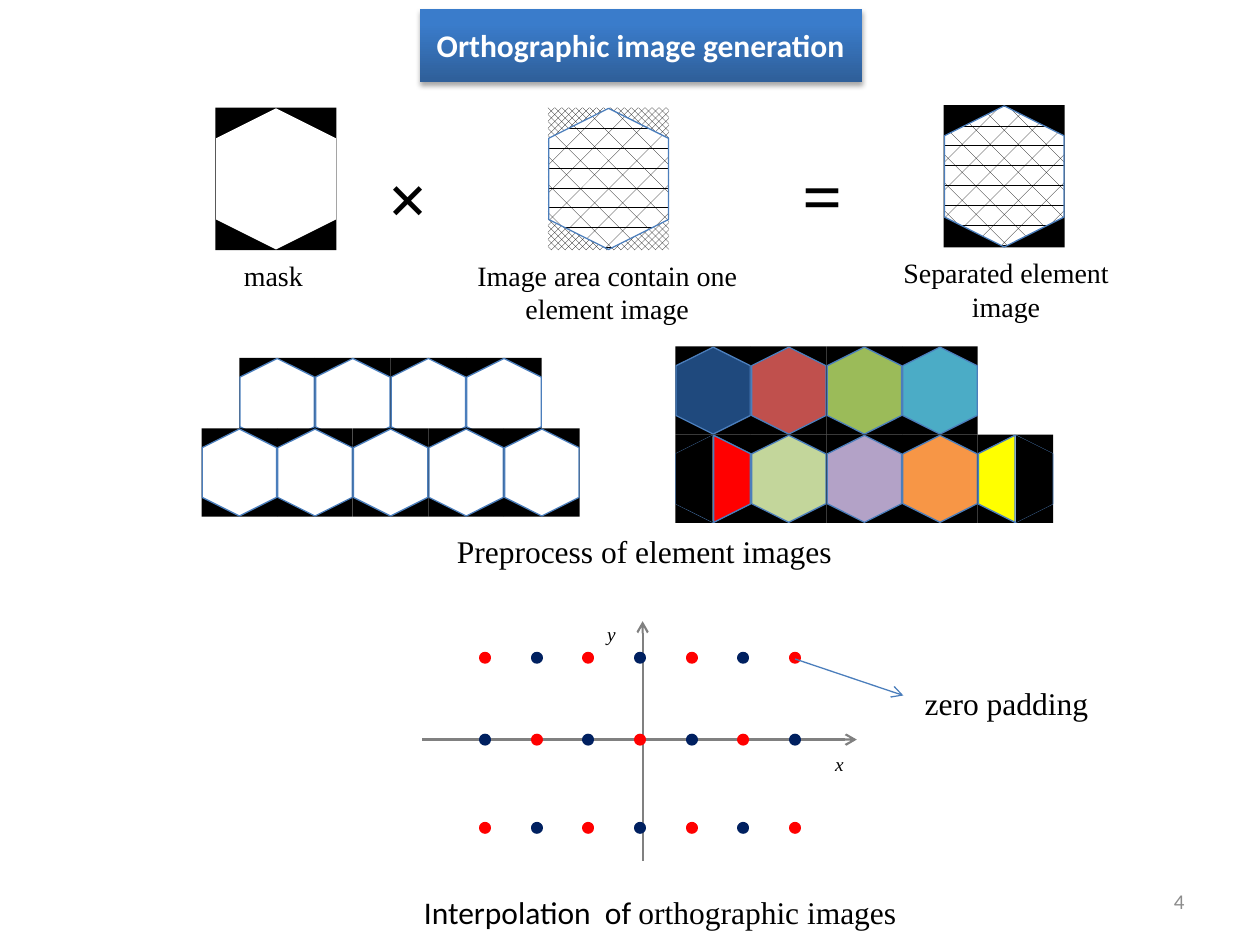
from lxml.etree import SubElement
from pptx import Presentation
from pptx.dml.color import RGBColor
from pptx.enum.dml import MSO_LINE, MSO_PATTERN
from pptx.enum.shapes import MSO_CONNECTOR, MSO_SHAPE
from pptx.enum.text import MSO_ANCHOR, PP_ALIGN
from pptx.oxml import parse_xml
from pptx.oxml.ns import nsdecls, qn
from pptx.util import Inches, Pt

theme = dict(
    black="000000", white="FFFFFF", edge="4B7EBC", axis="808080",
    navy="002060", red="FF0000", yellow="FFFF00", faint="8C8C8C",
    dark="2F5F99", light="3A7CCB",
    serif="Times New Roman", sans="Calibri",
    sign=40, head=18, label=16, page=12, tick=11,
)
black, white, edge, red = (theme[k] for k in ("black", "white", "edge", "red"))
serif, sans = theme["serif"], theme["sans"]

deck = Presentation()
deck.slide_width, deck.slide_height = Inches(10), Inches(7.5)
slide = deck.slides.add_slide(deck.slide_layouts[5])
shapes = slide.shapes
unit = deck.slide_width // 10  # grid of 10 columns by 7.5 rows


def draw(kind, mid, size, fill, turn=0, line=None):
    """Add a shape around its middle; fill is a colour or a pattern."""
    (x, y), (w, h) = mid, size
    box = [int(v * unit) for v in (x - w / 2, y - h / 2, w, h)]
    shape = shapes.add_shape(kind, *box)
    shape.shadow.inherit = False
    shape.rotation = turn
    if isinstance(fill, str):
        shape.fill.solid()
        shape.fill.fore_color.rgb = RGBColor.from_string(fill)
    else:
        shape.fill.patterned()
        shape.fill.pattern = fill
        shape.fill.fore_color.rgb = RGBColor.from_string(black)
        shape.fill.back_color.rgb = RGBColor.from_string(white)
    if line:
        shape.line.color.rgb = RGBColor.from_string(line)
        shape.line.width = Pt(0.75)
    else:
        shape.line.fill.background()


def write(box, parts, size, align=PP_ALIGN.CENTER, tint=black, bold=False, slant=False):
    """Add a text box; parts are pairs of wording and font."""
    frame = shapes.add_textbox(*[int(v * unit) for v in box]).text_frame
    frame.word_wrap = True
    line = frame.paragraphs[0]
    line.alignment = align
    for text, face in parts:
        run = line.add_run()
        run.text = text
        font = run.font
        font.name, font.size, font.bold, font.italic = face, Pt(size), bold, slant
        font.color.rgb = RGBColor.from_string(tint)
    return frame


# Title as a raised, rounded bar
title = shapes.title
title.left, title.top, title.width, title.height = [
    int(v * unit) for v in (3.33, 0.07, 3.51, 0.58)]
props = title.element.spPr
props.append(parse_xml(
    f'<a:prstGeom {nsdecls("a")} prst="roundRect"><a:avLst/></a:prstGeom>'))
title.fill.gradient()
title.fill.gradient_angle = 90
for stop, (spot, tint) in zip(title.fill.gradient_stops, ((0, "dark"), (0.8, "light"))):
    stop.position = spot
    stop.color.rgb = RGBColor.from_string(theme[tint])
props.append(parse_xml(
    f'<a:effectLst {nsdecls("a")}><a:outerShdw blurRad="39370" dist="22860" '
    'dir="5400000" rotWithShape="0"><a:srgbClr val="000000"><a:alpha val="35000"/>'
    '</a:srgbClr></a:outerShdw></a:effectLst>'))
title.text_frame.text = "Orthographic image generation"
title.text_frame.word_wrap = True
title.text_frame.vertical_anchor = MSO_ANCHOR.MIDDLE
head = title.text_frame.paragraphs[0]
head.alignment = PP_ALIGN.CENTER
font = head.runs[0].font
font.name, font.size, font.bold = sans, Pt(theme["head"]), True
font.color.rgb = RGBColor.from_string(white)

# Mask times area equals element
divot = MSO_PATTERN.DIVOT
for x, y, back, fill, line in (
        (2.19, 1.42, black, white, None),
        (4.83, 1.42, MSO_PATTERN.SOLID_DIAMOND, divot, edge),
        (7.97, 1.4, black, divot, edge)):
    draw(MSO_SHAPE.RECTANGLE, (x, y), (0.96, 1.13), back)
    draw(MSO_SHAPE.HEXAGON, (x, y), (1.12, 0.95), fill, 90, line)
for x, y, w, sign in ((2.98, 1.18, 0.62, "×"), (6.27, 1.15, 0.42, "=")):
    write((x, y, w, 0.63), [(sign, serif)], theme["sign"],
          PP_ALIGN.LEFT, bold=True).word_wrap = False

# Honeycombs: left edge, middle and fills of each row
step = 0.6
for left, y, fills in (
        (1.9, 3.19, [white] * 4),
        (1.6, 3.75, [white] * 5),
        (5.36, 3.1, ["1F497D", "C0504D", "9BBB59", "4BACC6"]),
        (5.36, 3.8, [white, "C3D69B", "B3A2C7", "F79646", white])):
    for i, fill in enumerate(fills):
        mid = left + (i + 0.5) * step, y
        draw(MSO_SHAPE.RECTANGLE, mid, (step, 0.7), black)
        draw(MSO_SHAPE.HEXAGON, mid, (0.69, 0.59), fill, 90, edge)

# Half cells at both ends of the lower coloured row
for x, fill, turn, line in (
        (5.81, red, 90, edge), (5.51, black, 270, None),
        (7.91, theme["yellow"], 270, edge), (8.21, black, 90, None)):
    draw(MSO_SHAPE.TRAPEZOID, (x, 3.8), (0.69, 0.29), fill, turn, line)
    shapes[-1].adjustments[0] = 0.5

# Axes, sample dots in a checkerboard, and pointer
lines = [((5.1, 6.83), (5.1, 4.93), theme["axis"], 1.25),
         ((3.35, 5.87), (6.8, 5.87), theme["axis"], 1.25)]
for row, y in enumerate((5.22, 5.87, 6.57)):
    for col in range(7):
        x = 3.85 + col * 0.41
        tint = theme["navy"] if (row + col) % 2 else red
        lines.append(((x, y), (x, y + 0.01), tint, 6.75))
lines.append(((6.31, 5.23), (7.17, 5.52), edge, 0.75))
for start, end, tint, width in lines:
    link = shapes.add_connector(
        MSO_CONNECTOR.STRAIGHT, *[int(v * unit) for v in start + end])
    link.line.color.rgb = RGBColor.from_string(tint)
    link.line.width = Pt(width)
    pen = link.line._get_or_add_ln()
    if width > 6:
        link.line.dash_style = MSO_LINE.ROUND_DOT
        pen.set("cap", "rnd")
    else:
        SubElement(pen, qn("a:tailEnd"), type="arrow")
    SubElement(link.element.spPr, qn("a:effectLst"))

# Captions
for box, text in (
        ((1.67, 2, 1, 0.37), "mask"),
        ((3.5, 2, 2.64, 0.64), "Image area contain one element image"),
        ((6.83, 1.98, 2.31, 0.64), "Separated element image")):
    write(box, [(text, serif)], theme["label"])
write((3.14, 4.17, 3.95, 0.4), [("Preprocess of element images", serif)], theme["head"])
write((3.18, 7.04, 4.12, 0.4),
      [("Interpolation  of ", sans), ("orthographic images", serif)], theme["head"])
write((7.24, 5.38, 1.59, 0.4), [("zero padding", serif)], theme["head"], PP_ALIGN.LEFT)
for x, y, name in ((6.53, 5.92, "x"), (4.72, 4.89, "y")):
    write((x, y, 0.36, 0.36), [(name, serif)], theme["tick"], PP_ALIGN.LEFT, slant=True)

# Page number
page = write((7.17, 6.95, 2.33, 0.4), [("4", sans)], theme["page"],
             PP_ALIGN.RIGHT, theme["faint"])
page.vertical_anchor = MSO_ANCHOR.MIDDLE

deck.save("out.pptx")
